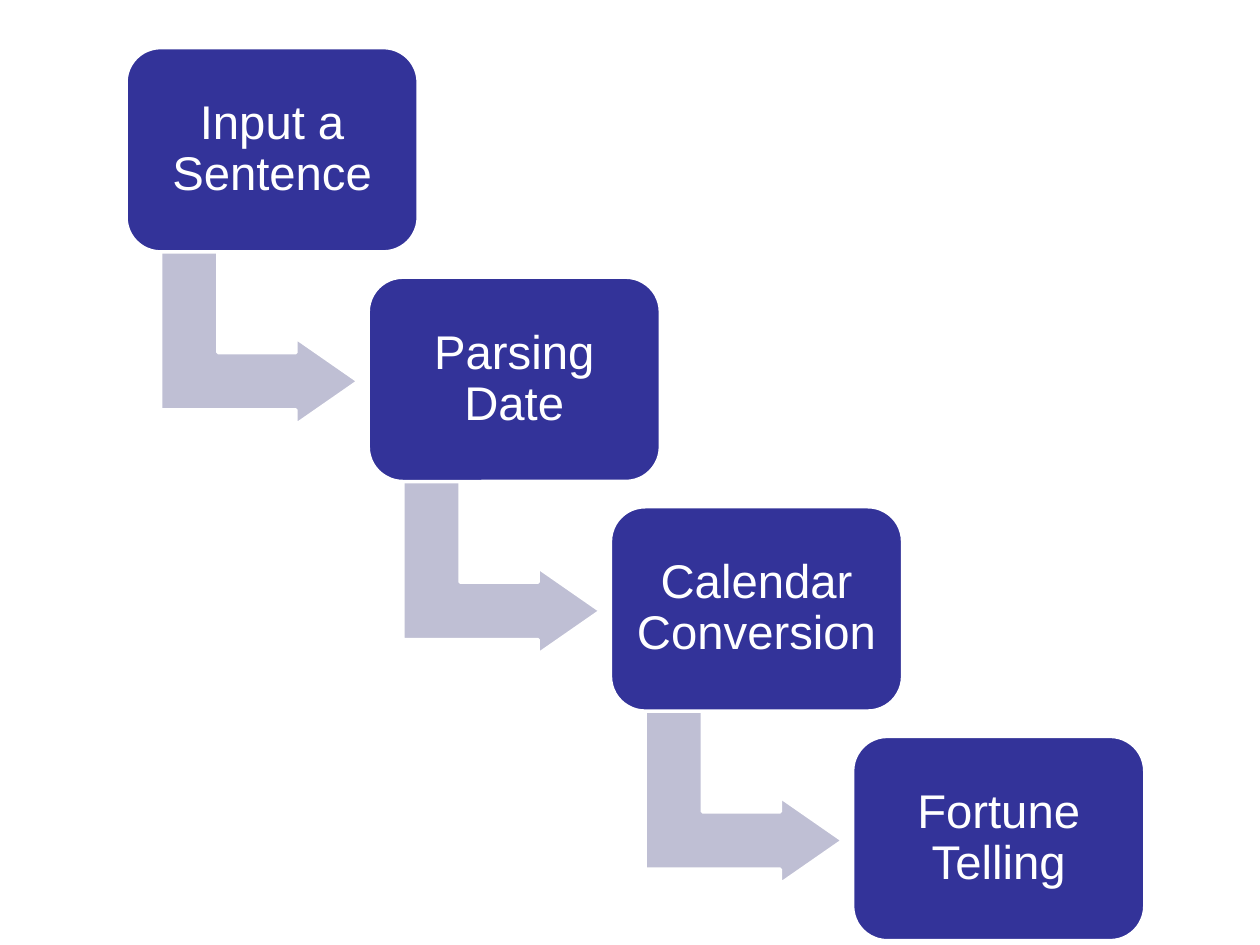
import pptx
import pptx.dml.color
import pptx.enum.shapes
import pptx.enum.text
import pptx.util

Pt = pptx.util.Pt
SHAPES = pptx.enum.shapes.MSO_SHAPE

COLORS = {"step": "333399", "arrow": "BFBFD4", "white": "FFFFFF"}

STEPS = ["Input a Sentence", "Parsing Date", "Calendar Conversion", "Fortune Telling"]

# Staircase geometry in points
FIRST_LEFT, FIRST_TOP = 72, 27.2
STEP_WIDTH, STEP_HEIGHT = 167, 116.8
STEP_RIGHT, STEP_DOWN = 138.4, 131.2
ARROW_RIGHT, ARROW_DOWN = 26.7, 109.4
ARROW_WIDTH, ARROW_HEIGHT = 99.2, 113


class StepDiagram:
    font_name = "Arial"
    font_size = 27
    outline = 2
    inset = 8

    def __init__(self, slide):
        self.slide = slide

    def color(self, name):
        return pptx.dml.color.RGBColor.from_string(COLORS[name])

    def block(self, kind, left, top, width, height, fill, adjustments):
        block = self.slide.shapes.add_shape(
            kind, Pt(left), Pt(top), Pt(width), Pt(height))
        block.shadow.inherit = False
        block.fill.solid()
        block.fill.fore_color.rgb = self.color(fill)
        block.line.color.rgb = self.color("white")
        block.line.width = Pt(self.outline)
        for index, value in enumerate(adjustments):
            block.adjustments[index] = value
        return block

    def arrow(self, left, top):
        arrow = self.block(SHAPES.BENT_UP_ARROW, left, top,
                           ARROW_WIDTH, ARROW_HEIGHT, "arrow", [0.33, 0.25, 0.36])
        arrow.rotation = 90

    def step(self, left, top, label):
        step = self.block(SHAPES.ROUNDED_RECTANGLE, left, top,
                          STEP_WIDTH, STEP_HEIGHT, "step", [0.17])
        frame = step.text_frame
        frame.word_wrap = True
        frame.vertical_anchor = pptx.enum.text.MSO_ANCHOR.MIDDLE
        frame.margin_left = frame.margin_right = Pt(self.inset)
        frame.margin_top = frame.margin_bottom = Pt(self.inset)
        paragraph = frame.paragraphs[0]
        paragraph.alignment = pptx.enum.text.PP_ALIGN.CENTER
        paragraph.line_spacing = 0.9
        run = paragraph.add_run()
        run.text = label
        run.font.name = self.font_name
        run.font.size = Pt(self.font_size)
        run.font.color.rgb = self.color("white")


def main():
    deck = pptx.Presentation()
    deck.slide_width, deck.slide_height = Pt(720), Pt(540)
    diagram = StepDiagram(deck.slides.add_slide(deck.slide_layouts[6]))

    # Steps descend to the right; an arrow leads from each to the next
    for index, label in enumerate(STEPS):
        left = FIRST_LEFT + index * STEP_RIGHT
        top = FIRST_TOP + index * STEP_DOWN
        if index < len(STEPS) - 1:
            diagram.arrow(left + ARROW_RIGHT, top + ARROW_DOWN)
        diagram.step(left, top, label)

    deck.save("out.pptx")


if __name__ == "__main__":
    main()
